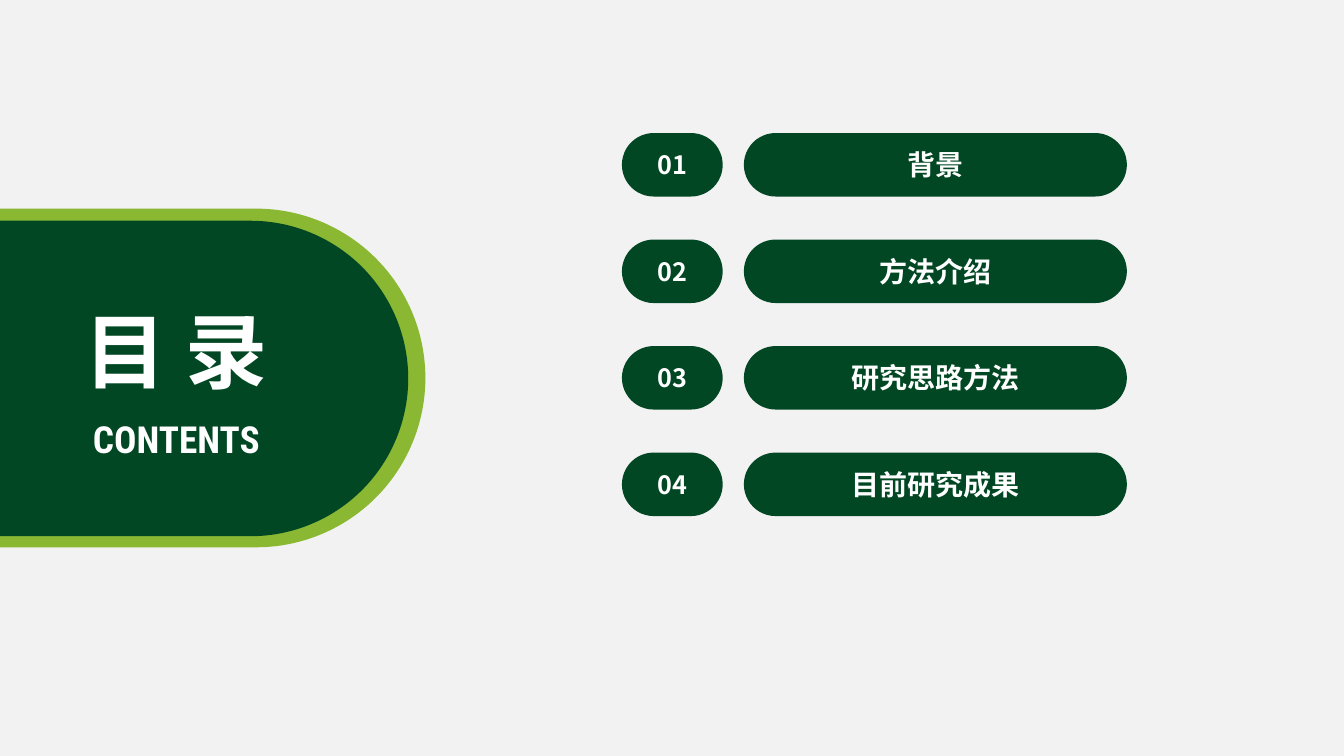
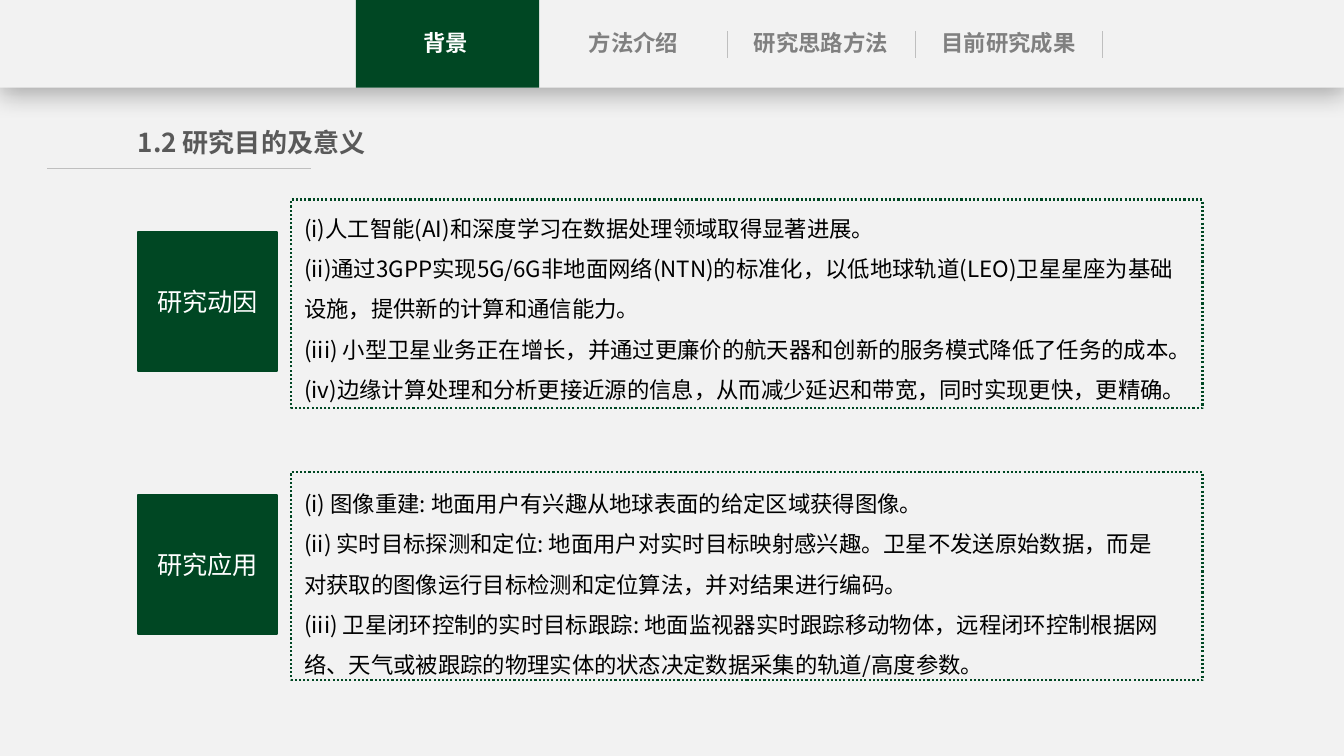
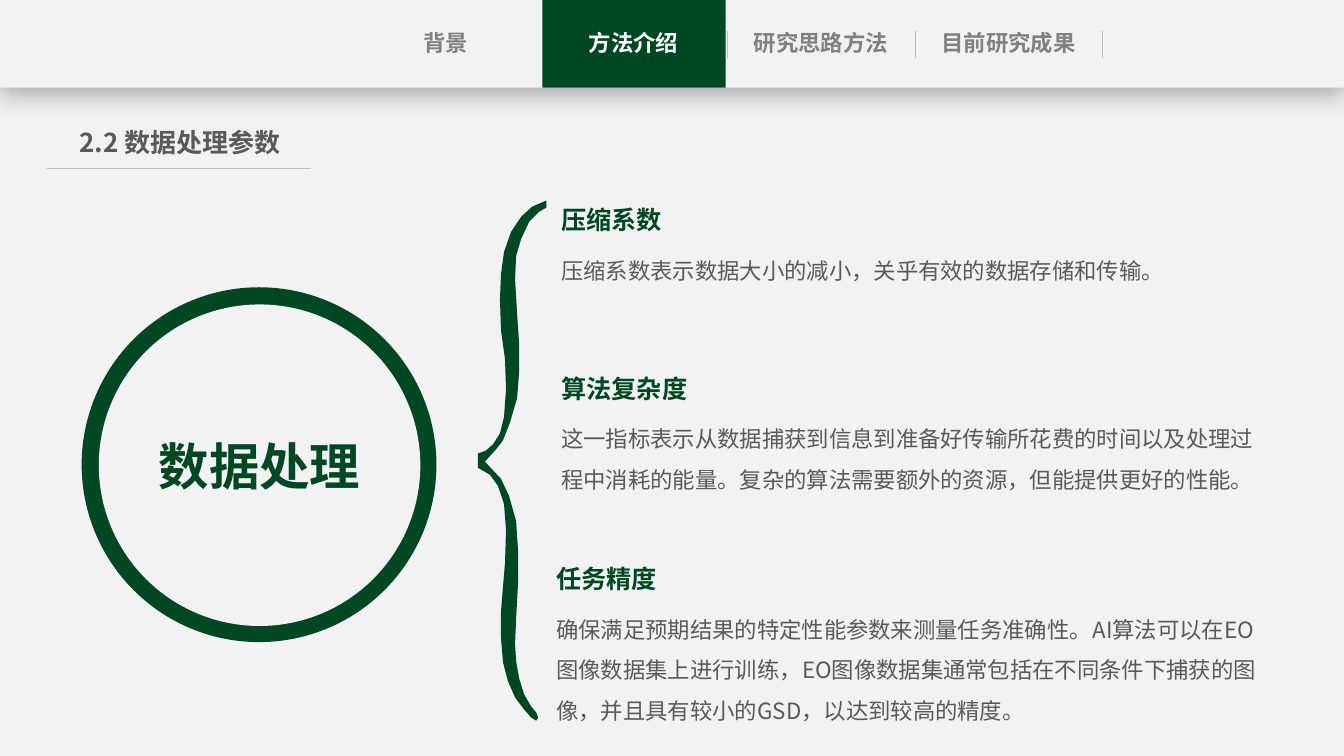
import pptx
import pptx.util
from lxml import etree
from pptx.dml.color import RGBColor
from pptx.enum.dml import MSO_LINE
from pptx.enum.shapes import MSO_CONNECTOR, MSO_SHAPE
from pptx.enum.text import MSO_AUTO_SIZE, PP_ALIGN
from pptx.oxml.ns import qn
from pptx.util import Inches

GREEN = RGBColor(0x00, 0x47, 0x23)
PILL_GREEN = RGBColor(0x01, 0x47, 0x23)
LIME = RGBColor(0x8A, 0xB8, 0x33)
PAPER = RGBColor(0xF2, 0xF2, 0xF2)
WHITE = RGBColor(0xFF, 0xFF, 0xFF)
BLACK = RGBColor(0x00, 0x00, 0x00)
DARK_GREY = RGBColor(0x59, 0x59, 0x59)
MID_GREY = RGBColor(0x80, 0x80, 0x80)
RULE_GREY = RGBColor(0xBF, 0xBF, 0xBF)
CJK = "Noto Sans CJK SC"
SECTIONS = ["背景", "方法介绍", "研究思路方法", "目前研究成果"]
W, H = 40 / 3, 7.5


def add_box(s, kind, x, y, w, h, fill=None):
    """Preset shape without shadow or outline; kind None gives a text box."""
    at = [Inches(v) for v in (x, y, w, h)]
    if kind is None:
        sp = s.shapes.add_textbox(*at)
        sp.text_frame.auto_size = MSO_AUTO_SIZE.SHAPE_TO_FIT_TEXT
        return sp
    sp = s.shapes.add_shape(kind, *at)
    sp.shadow.inherit = False
    sp.line.fill.background()
    if kind == MSO_SHAPE.ROUNDED_RECTANGLE:
        sp.adjustments[0] = 0.5
    if fill is None:
        sp.fill.background()
    else:
        sp.fill.solid()
        sp.fill.fore_color.rgb = fill
    return sp


def write(sp, lines, size, color, bold=True, align=PP_ALIGN.CENTER,
          spacing=None, font=CJK, wrap=True, side=0.1):
    tf = sp.text_frame
    tf.word_wrap = wrap
    tf.margin_left = tf.margin_right = Inches(side)
    tf.text = "\n".join(lines)
    for p in tf.paragraphs:
        p.alignment = align
        p.line_spacing = spacing
        for r in p.runs:
            r.font.size = pptx.util.Pt(size)
            r.font.bold = bold
            r.font.color.rgb = color
            r.font.name = font
            rPr = r._r.get_or_add_rPr()
            rPr.set("lang", "zh-CN")
            etree.SubElement(rPr, qn("a:ea"), typeface=font)


prs = pptx.Presentation()
prs.slide_width, prs.slide_height = Inches(W), Inches(H)
blank = prs.slide_layouts[6]

# Contents slide, whose paper backdrop moves to the master for all slides
s = prs.slides.add_slide(blank)
backdrop = add_box(s, MSO_SHAPE.RECTANGLE, 0, 0, W, H, PAPER)
prs.slide_master.shapes._spTree.insert(2, backdrop._element)
PILL = MSO_SHAPE.ROUNDED_RECTANGLE
add_box(s, PILL, -1.96, 2.07, 6.18, 3.36, LIME)
add_box(s, PILL, -1.7, 2.19, 5.75, 3.13, PILL_GREEN)
ROW_STEP = (4.49 - 1.32) / 3
for i, name in enumerate(SECTIONS):
    y = 1.32 + ROW_STEP * i
    write(add_box(s, PILL, 6.17, y, 1, 0.63, PILL_GREEN), [f"{i + 1:02d}"], 18, WHITE)
    write(add_box(s, PILL, 7.38, y, 3.8, 0.63, PILL_GREEN), [name], 20, WHITE)
write(add_box(s, None, 0.62, 4.08, 2.26, 0.55), ["CONTENTS"], 26.6, WHITE,
      font="Roboto Condensed", wrap=False)
write(add_box(s, None, 0.7, 2.93, 2.09, 1.09), ["目 录"], 58.6, WHITE, wrap=False)

# Content slides: navigation bar and title
TAB_STEP = 1.86
content = []
for active, tab_x, title, x, w in [(0, 3.53, "1.2 研究目的及意义", 0.89, 3.21),
                                   (1, 5.38, "2.2 数据处理参数", 0.75, 2.07)]:
    s = prs.slides.add_slide(blank)
    content.append(s)
    write(add_box(s, None, x, 1.21, w, 0.42), [title], 18.6, DARK_GREY, side=0)
    bar = add_box(s, MSO_SHAPE.RECTANGLE, 0, 0, W, 0.87, PAPER)
    shadow = etree.SubElement(
        bar._element.spPr.find(qn("a:effectLst")), qn("a:outerShdw"),
        blurRad=str(pptx.util.Pt(18)), dist=str(pptx.util.Pt(4)),
        dir="5400000", algn="t", rotWithShape="0")
    black = etree.SubElement(shadow, qn("a:srgbClr"), val="000000")
    etree.SubElement(black, qn("a:alpha"), val="29000")
    add_box(s, MSO_SHAPE.RECTANGLE, tab_x, 0, 1.82, 0.87, GREEN)
    for i, name in enumerate(SECTIONS):
        write(add_box(s, None, 3.69 + TAB_STEP * i, 0.24, 1.47, 0.37), [name], 16,
              WHITE if i == active else MID_GREY, side=0)
    rules = [(0.47, 1.67, 3.09, 1.67)]
    for i in range(3):
        x = 7.22 + TAB_STEP * i
        rules.append((x, 0.31, x, 0.58))
    for ends in rules:
        c = s.shapes.add_connector(MSO_CONNECTOR.STRAIGHT, *[Inches(v) for v in ends])
        c.line.color.rgb = RULE_GREY
        c.line.width = pptx.util.Pt(0.5)
        etree.SubElement(c._element.spPr, qn("a:effectLst"))

# Purpose and significance
s = content[0]
for name, tile_y, frame_y, text_y, text_w, lines in [
    ("研究动因", 2.3, 1.98, 1.95, 9.01, [
        "(i)人工智能(AI)和深度学习在数据处理领域取得显著进展。",
        "(ii)通过3GPP实现5G/6G非地面网络(NTN)的标准化，以低地球轨道(LEO)卫星星座为基础设施，提供新的计算和通信能力。",
        "(iii) 小型卫星业务正在增长，并通过更廉价的航天器和创新的服务模式降低了任务的成本。",
        "(iv)边缘计算处理和分析更接近源的信息，从而减少延迟和带宽，同时实现更快，更精确。"]),
    ("研究应用", 4.91, 4.68, 4.68, 8.68, [
        "(i) 图像重建: 地面用户有兴趣从地球表面的给定区域获得图像。",
        "(ii) 实时目标探测和定位: 地面用户对实时目标映射感兴趣。卫星不发送原始数据，而是对获取的图像运行目标检测和定位算法，并对结果进行编码。",
        "(iii) 卫星闭环控制的实时目标跟踪: 地面监视器实时跟踪移动物体，远程闭环控制根据网络、天气或被跟踪的物理实体的状态决定数据采集的轨道/高度参数。"]),
]:
    tile = add_box(s, MSO_SHAPE.RECTANGLE, 1.37, tile_y, 1.38, 1.38, GREEN)
    frame = add_box(s, MSO_SHAPE.RECTANGLE, 2.89, frame_y, 9.04, 2.07)
    for sp in (tile, frame):
        sp.line.color.rgb = GREEN
        sp.line.width = pptx.util.Pt(1.5)
    frame.line.dash_style = MSO_LINE.ROUND_DOT
    write(tile, [name], 18, WHITE, bold=False)
    write(add_box(s, None, 2.92, text_y, text_w, 2.07), lines, 16, BLACK,
          bold=False, align=PP_ALIGN.LEFT, spacing=1.5)

# Data processing: ring
s = content[1]
add_box(s, MSO_SHAPE.OVAL, 0.81, 2.85, 3.52, 3.52, GREEN)
write(add_box(s, MSO_SHAPE.OVAL, 0.98, 3.02, 3.19, 3.19, PAPER), ["数据处理"], 36, GREEN)

# Brace
brace_outline = [
    # outer edge, top to bottom
    (5.42, 1.99), (5.28, 2.05), (5.17, 2.15), (5.07, 2.3), (5, 2.5), (4.97, 2.72),
    (4.96, 2.97), (4.97, 3.28), (5.01, 3.56), (5.02, 3.86), (5, 4.14), (4.96, 4.3),
    (4.89, 4.41), (4.82, 4.47), (4.74, 4.5), (4.74, 4.64), (4.86, 4.71),
    (4.94, 4.82), (5, 5), (5.02, 5.26), (5.01, 5.59), (4.99, 5.82), (4.97, 6.07),
    (4.97, 6.33), (4.99, 6.57), (5.04, 6.76), (5.11, 6.92), (5.2, 7.04),
    (5.27, 7.12), (5.32, 7.15), (5.34, 7.12),
    # inner edge, bottom to top
    (5.32, 7.07), (5.27, 7.01), (5.2, 6.89), (5.15, 6.73), (5.12, 6.56),
    (5.11, 6.39), (5.12, 6.14), (5.14, 5.78), (5.14, 5.47), (5.12, 5.17),
    (5.05, 4.92), (4.97, 4.75), (4.81, 4.58), (4.92, 4.46), (4.99, 4.37),
    (5.06, 4.19), (5.13, 3.95), (5.15, 3.69), (5.15, 3.41), (5.13, 3.11),
    (5.11, 2.77), (5.12, 2.54), (5.17, 2.37), (5.25, 2.2), (5.35, 2.1), (5.42, 2.06),
]
points = [(Inches(x), Inches(y)) for x, y in brace_outline]
fb = s.shapes.build_freeform(*points[0])
fb.add_line_segments(points[1:], close=True)
brace = fb.convert_to_shape()
brace.shadow.inherit = False
brace.fill.solid()
brace.fill.fore_color.rgb = GREEN
brace.line.fill.background()

# Parameters beside the brace
for x, y, head_w, body_h, head, body in [
    (5.47, 1.98, 1.21, 0.46, "压缩系数",
     "压缩系数表示数据大小的减小，关乎有效的数据存储和传输。"),
    (5.47, 3.65, 1.46, 0.86, "算法复杂度",
     "这一指标表示从数据捕获到信息到准备好传输所花费的时间以及处理过程中消耗的能量。复杂的算法需要额外的资源，但能提供更好的性能。"),
    (5.42, 5.54, 1.21, 1.27, "任务精度",
     "确保满足预期结果的特定性能参数来测量任务准确性。AI算法可以在EO图像数据集上进行训练，EO图像数据集通常包括在不同条件下捕获的图像，并且具有较小的GSD，以达到较高的精度。"),
]:
    write(add_box(s, None, x, y, head_w, 0.4), [head], 18, GREEN,
          align=PP_ALIGN.LEFT, wrap=False)
    write(add_box(s, None, x, y + 0.39, 7.19, body_h), [body], 16, DARK_GREY,
          bold=False, align=PP_ALIGN.LEFT, spacing=1.5)

prs.save("out.pptx")
